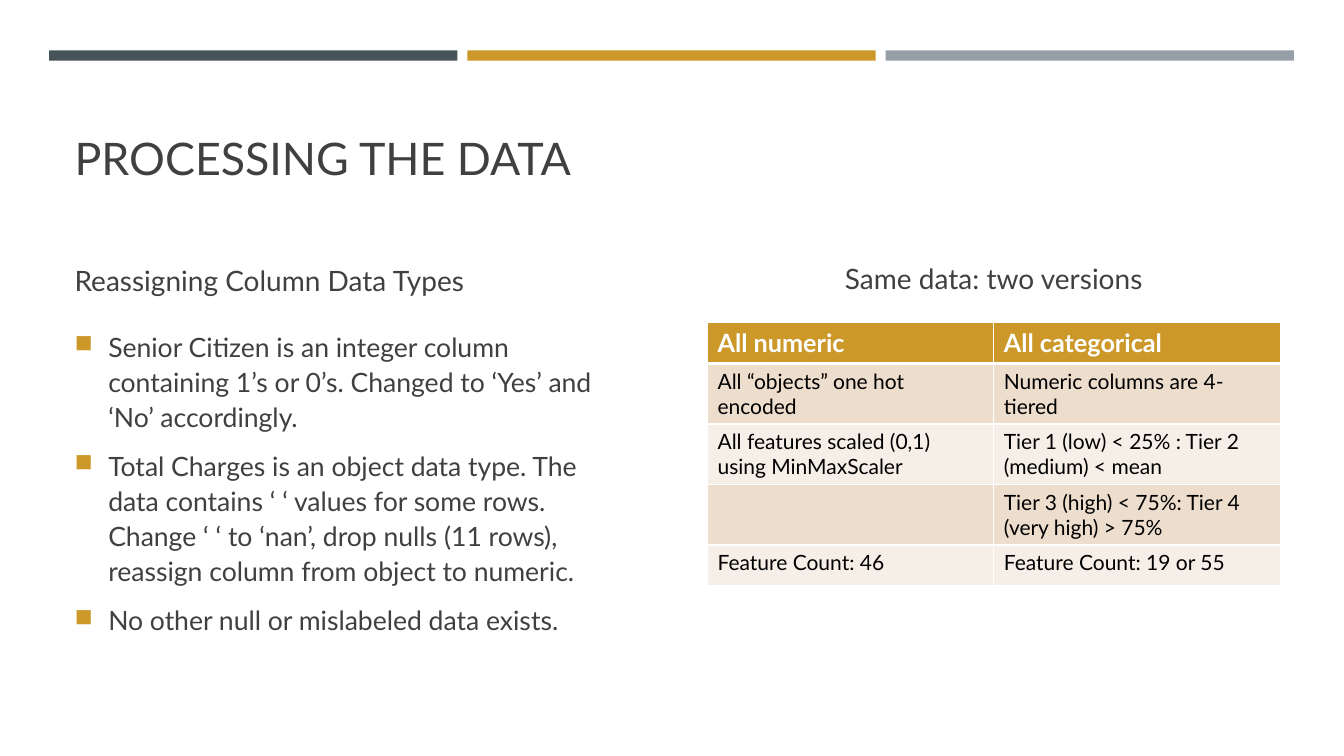
from lxml.etree import SubElement
from pptx import Presentation
from pptx.dml.color import RGBColor
from pptx.enum.shapes import MSO_SHAPE
from pptx.enum.text import MSO_ANCHOR, PP_ALIGN
from pptx.oxml.ns import qn
from pptx.util import Cm, Pt

FONT = "Lato"
TEXT, GOLD, WHITE, BLACK = "404040", "CC982A", "FFFFFF", "000000"
BAR_COLORS = ["465359", GOLD, "969FA7"]
BAND_COLORS = ["ECDDCD", "F6EFE8"]
LEFT, RIGHT, COLUMN_WIDTH = 1.63, 17.83, 14.43
HEADING_TOP, HEADING_HEIGHT, CONTENT_TOP = 6.25, 1.55, 8.13
BODY_SPACING = {"before": 4, "after": 6}

BULLETS = [
    "Senior Citizen is an integer column containing 1’s or 0’s. "
    "Changed to ‘Yes’ and ‘No’ accordingly.",
    "Total Charges is an object data type. The data contains ‘ ‘ values for some rows. "
    "Change ‘ ‘ to ‘nan’, drop nulls (11 rows), reassign column from object to numeric.",
    "No other null or mislabeled data exists.",
]
VERSIONS = [
    ("All numeric", "All categorical"),
    ("All “objects” one hot encoded", "Numeric columns are 4-tiered"),
    ("All features scaled (0,1) using MinMaxScaler",
     "Tier 1 (low) < 25% : Tier 2 (medium) < mean"),
    ("", "Tier 3 (high) < 75%: Tier 4 (very high) > 75%"),
    ("Feature Count: 46", "Feature Count: 19 or 55"),
]


def paint(target, color):
    """Give a fill or a font a solid colour from a hex string."""
    if hasattr(target, "solid"):
        target.solid()
        target.fore_color.rgb = RGBColor.from_string(color)
    else:
        target.color.rgb = RGBColor.from_string(color)


def write(paragraph, text, size, color=TEXT, bold=False, align=PP_ALIGN.LEFT,
          line_spacing=None, before=0, after=0):
    """Write formatted text into a paragraph."""
    paragraph.alignment = align
    paragraph.line_spacing = line_spacing
    paragraph.space_before, paragraph.space_after = Pt(before), Pt(after)
    font = paragraph.font
    if text:
        run = paragraph.add_run()
        run.text = text
        font = run.font
    font.name, font.size, font.bold = FONT, Pt(size), bold
    paint(font, color)


def add_bullet(paragraph, indent):
    """Put a hanging gold square in front of a paragraph."""
    properties = paragraph._p.get_or_add_pPr()
    properties.set("marL", str(Cm(indent)))
    properties.set("indent", str(-Cm(indent)))
    bullet_color = SubElement(properties, qn("a:buClr"))
    SubElement(bullet_color, qn("a:srgbClr"), val=GOLD)
    SubElement(properties, qn("a:buSzPct"), val="92000")
    SubElement(properties, qn("a:buChar"), char="■")


def add_text(slide, left, top, width, height, texts, anchor=MSO_ANCHOR.TOP,
             bullet_indent=0, **text_format):
    """Add a text box with one paragraph for each text."""
    frame = slide.shapes.add_textbox(Cm(left), Cm(top), Cm(width), Cm(height)).text_frame
    frame.word_wrap = True
    frame.vertical_anchor = anchor
    for index, text in enumerate(texts):
        paragraph = frame.add_paragraph() if index else frame.paragraphs[0]
        write(paragraph, text, **text_format)
        if bullet_indent:
            add_bullet(paragraph, bullet_indent)


def add_bars(slide):
    """Add the three equal bars along the top."""
    for index, color in enumerate(BAR_COLORS):
        bar = slide.shapes.add_shape(MSO_SHAPE.RECTANGLE, Cm(1.24 + index * 10.54),
                                     Cm(1.27), Cm(10.29), Cm(0.26))
        bar.shadow.inherit = False
        bar.line.fill.background()
        paint(bar.fill, color)


def add_borders(cell, bottom):
    """Draw white borders round a cell, with a chosen bottom width in points."""
    properties = cell._tc.get_or_add_tcPr()
    widths = {"a:lnL": 1, "a:lnR": 1, "a:lnT": 1, "a:lnB": bottom}
    for tag, width in widths.items():
        border = SubElement(properties, qn(tag), w=str(Pt(width)))
        fill = SubElement(border, qn("a:solidFill"))
        SubElement(fill, qn("a:srgbClr"), val=WHITE)


def add_versions_table(slide):
    """Add the table that compares the two versions of the data."""
    row_height = 1.03
    table = slide.shapes.add_table(
        len(VERSIONS), 2, Cm(RIGHT), Cm(CONTENT_TOP), Cm(COLUMN_WIDTH),
        Cm(row_height * len(VERSIONS))).table
    for row_index, texts in enumerate(VERSIONS):
        header = row_index == 0
        for column_index, text in enumerate(texts):
            cell = table.cell(row_index, column_index)
            write(cell.text_frame.paragraphs[0], text, size=18 if header else 15,
                  color=WHITE if header else BLACK, bold=header)
            add_borders(cell, bottom=3 if header else 1)
            paint(cell.fill, GOLD if header else BAND_COLORS[(row_index - 1) % 2])


def main():
    """Build the slide and save it."""
    presentation = Presentation()
    presentation.slide_width, presentation.slide_height = Cm(33.87), Cm(19.05)
    slide = presentation.slides.add_slide(presentation.slide_layouts[6])
    add_bars(slide)
    add_text(slide, LEFT, 2.03, 30.63, 2.74, ["PROCESSING THE DATA"],
             anchor=MSO_ANCHOR.BOTTOM, size=32)
    add_text(slide, LEFT, HEADING_TOP, COLUMN_WIDTH, HEADING_HEIGHT,
             ["Reassigning Column Data Types"], anchor=MSO_ANCHOR.MIDDLE,
             size=20, line_spacing=1.1, **BODY_SPACING)
    add_text(slide, LEFT, CONTENT_TOP, COLUMN_WIDTH, 8.15, BULLETS,
             bullet_indent=0.85, size=19, line_spacing=1.1, **BODY_SPACING)
    add_text(slide, RIGHT, HEADING_TOP, COLUMN_WIDTH, HEADING_HEIGHT,
             ["Same data: two versions"], anchor=MSO_ANCHOR.MIDDLE,
             size=20, align=PP_ALIGN.CENTER, **BODY_SPACING)
    add_versions_table(slide)
    presentation.save("out.pptx")


main()
